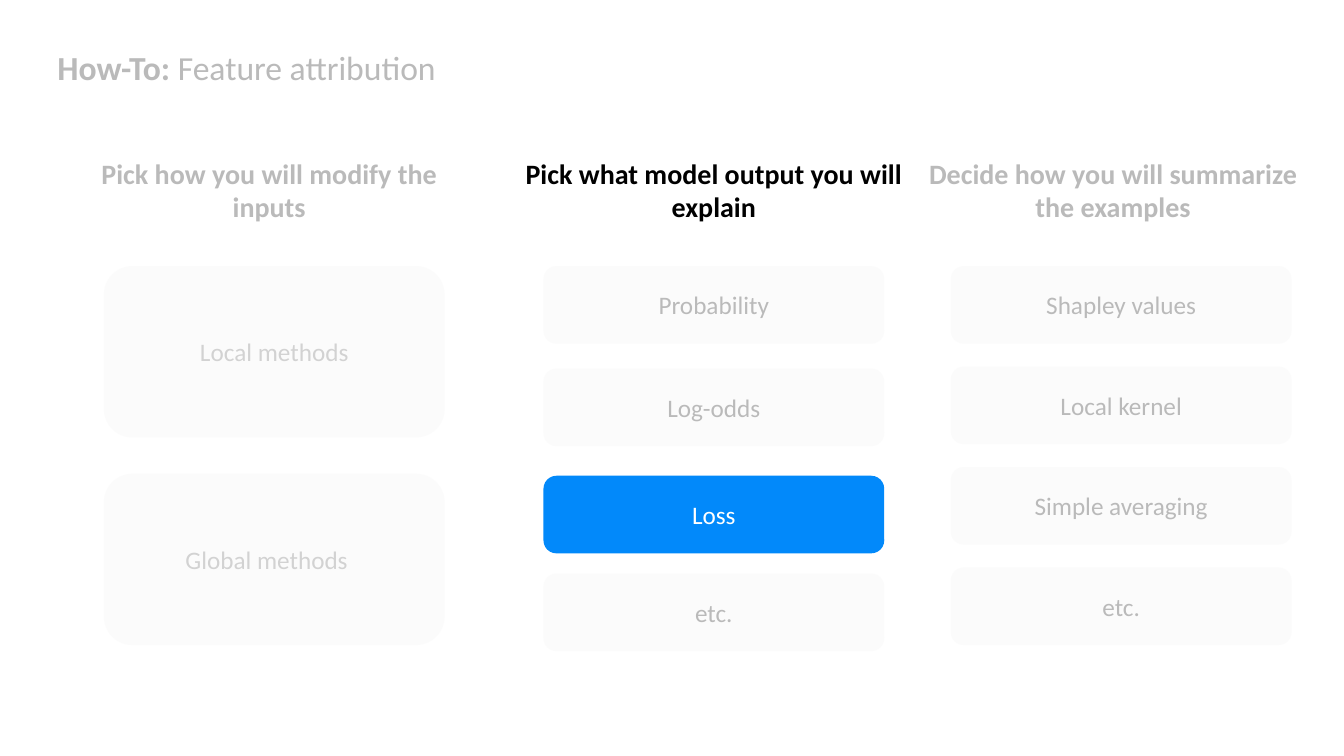
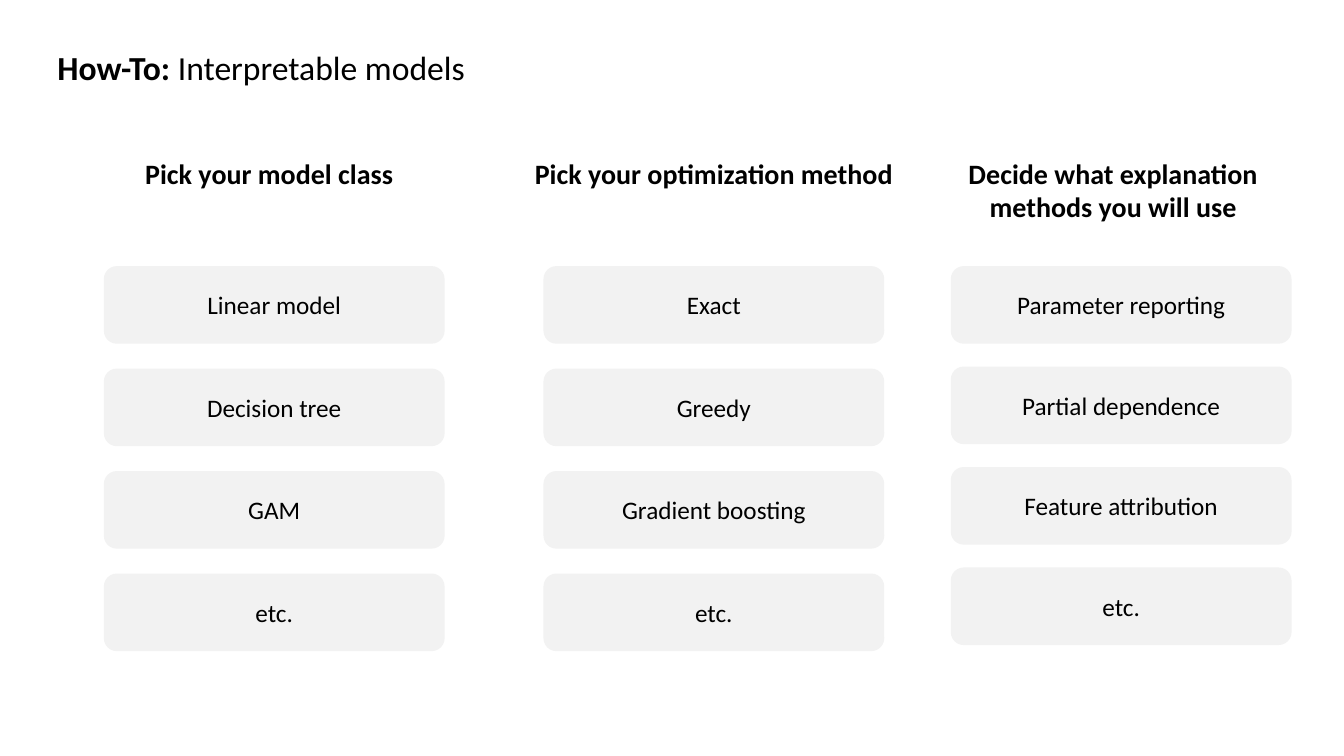
from dataclasses import dataclass

import pptx
import pptx.dml.color
import pptx.enum.shapes
import pptx.enum.text
import pptx.oxml
import pptx.oxml.ns
import pptx.util
from pptx.util import Inches

SHAPE = pptx.enum.shapes.MSO_SHAPE
ALIGN = pptx.enum.text.PP_ALIGN
ANCHOR = pptx.enum.text.MSO_ANCHOR


@dataclass(frozen=True)
class Theme:
    font: str = "Calibri"
    title_size: int = 24
    heading_size: int = 20
    card_size: int = 18
    ink: str = "000000"
    muted_ink: str = "595959"
    paper: str = "FFFFFF"
    card: str = "F2F2F2"
    accent: str = "0289FA"
    veil_opacity: int = 73


@dataclass(frozen=True)
class Column:
    heading_left: float
    card_left: float
    last_card_top: float


THEME = Theme()
LEFT = Column(0.67, 1.03, 5.69)
MIDDLE = Column(5.08, 5.39, 5.69)
RIGHT = Column(9.04, 9.43, 5.63)

TITLE_BOX = (0.47, 0.42, 7.04, 0.5)
VEIL_BOX = (0.45, 0.28, 12.68, 6.94)
HEADING_TOP, HEADING_WIDTH, HEADING_HEIGHT = 1.5, 4, 0.77
CARD_TOP, CARD_WIDTH, CARD_HEIGHT = 2.64, 3.38, 0.77
CARDS_PER_COLUMN = 4
TALL_CARD_HEIGHT, TALL_CARD_STEP = 1.7, 2.06


def rgb(color):
    return pptx.dml.color.RGBColor.from_string(color)


def format_run(run, size, color=THEME.ink, bold=False):
    run.font.name = THEME.font
    run.font.size = pptx.util.Pt(size)
    run.font.color.rgb = rgb(color)
    run.font.bold = bold


def set_centered_text(shape, text, size, color=THEME.ink, bold=False):
    frame = shape.text_frame
    frame.word_wrap = True
    frame.text = text
    paragraph = frame.paragraphs[0]
    paragraph.alignment = ALIGN.CENTER
    format_run(paragraph.runs[0], size, color, bold)


def add_block(slide, kind, box, fill):
    shape = slide.shapes.add_shape(kind, *map(Inches, box))
    shape.shadow.inherit = False
    shape.fill.solid()
    shape.fill.fore_color.rgb = rgb(fill)
    shape.line.fill.background()
    return shape


def add_card(slide, left, top, text, height=CARD_HEIGHT,
             fill=THEME.card, color=THEME.ink):
    box = (left, top, CARD_WIDTH, height)
    card = add_block(slide, SHAPE.ROUNDED_RECTANGLE, box, fill)
    card.text_frame.vertical_anchor = ANCHOR.MIDDLE
    set_centered_text(card, text, THEME.card_size, color)
    return card


def add_cards(slide, column, labels):
    """Spread the cards evenly over the column; None leaves a free place."""
    step = (column.last_card_top - CARD_TOP) / (CARDS_PER_COLUMN - 1)
    for row, label in enumerate(labels):
        if label is not None:
            add_card(slide, column.card_left, CARD_TOP + row * step, label)


def add_heading(slide, column, text):
    box = (column.heading_left, HEADING_TOP, HEADING_WIDTH, HEADING_HEIGHT)
    heading = slide.shapes.add_textbox(*map(Inches, box))
    set_centered_text(heading, text, THEME.heading_size, bold=True)


def add_veil(slide):
    """Fade everything drawn so far with a translucent sheet."""
    veil = add_block(slide, SHAPE.RECTANGLE, VEIL_BOX, THEME.paper)
    color = veil.fill._xPr.find(".//" + pptx.oxml.ns.qn("a:srgbClr"))
    alpha = pptx.oxml.parse_xml(
        f'<a:alpha {pptx.oxml.ns.nsdecls("a")} val="{THEME.veil_opacity * 1000}"/>')
    color.append(alpha)


def style_layout(layout):
    """Place the title that every slide inherits."""
    title = layout.placeholders[0]
    title.left, title.top, title.width, title.height = map(Inches, TITLE_BOX)
    title.text_frame.vertical_anchor = ANCHOR.TOP
    title.text_frame.auto_size = pptx.enum.text.MSO_AUTO_SIZE.NONE


def add_how_to_slide(presentation, layout, topic):
    slide = presentation.slides.add_slide(layout)
    paragraph = slide.shapes.title.text_frame.paragraphs[0]
    paragraph.alignment = ALIGN.LEFT
    for text, bold in (("How-To: ", True), (topic, False)):
        run = paragraph.add_run()
        run.text = text
        format_run(run, THEME.title_size, bold=bold)
    return slide


def build_feature_attribution(presentation, layout):
    slide = add_how_to_slide(presentation, layout, "Feature attribution")
    add_heading(slide, LEFT, "Pick how you will modify the inputs")
    add_heading(slide, RIGHT, "Decide how you will summarize the examples")

    for row, label in enumerate(("Local methods", "Global methods")):
        card = add_card(slide, LEFT.card_left, CARD_TOP + row * TALL_CARD_STEP,
                        label, TALL_CARD_HEIGHT, color=THEME.muted_ink)
    card.text_frame.margin_right = Inches(0.25)

    add_cards(slide, MIDDLE, ("Probability", "Log-odds", None, "etc."))
    add_cards(slide, RIGHT,
              ("Shapley values", "Local kernel", "Simple averaging", "etc."))

    add_veil(slide)
    add_card(slide, MIDDLE.card_left, 4.72, "Loss",
             fill=THEME.accent, color=THEME.paper)
    add_heading(slide, MIDDLE, "Pick what model output you will explain")


def build_interpretable_models(presentation, layout):
    slide = add_how_to_slide(presentation, layout, "Interpretable models")
    columns = (
        (LEFT, "Pick your model class",
         ("Linear model", "Decision tree", "GAM", "etc.")),
        (MIDDLE, "Pick your optimization method",
         ("Exact", "Greedy", "Gradient boosting", "etc.")),
        (RIGHT, "Decide what explanation methods you will use",
         ("Parameter reporting", "Partial dependence",
          "Feature attribution", "etc.")),
    )
    for column, heading, labels in columns:
        add_heading(slide, column, heading)
        add_cards(slide, column, labels)


def main():
    presentation = pptx.Presentation()
    presentation.slide_width = Inches(13.33)
    presentation.slide_height = Inches(7.5)
    layout = presentation.slide_layouts.get_by_name("Title Only")
    style_layout(layout)
    build_feature_attribution(presentation, layout)
    build_interpretable_models(presentation, layout)
    presentation.save("out.pptx")


if __name__ == "__main__":
    main()
